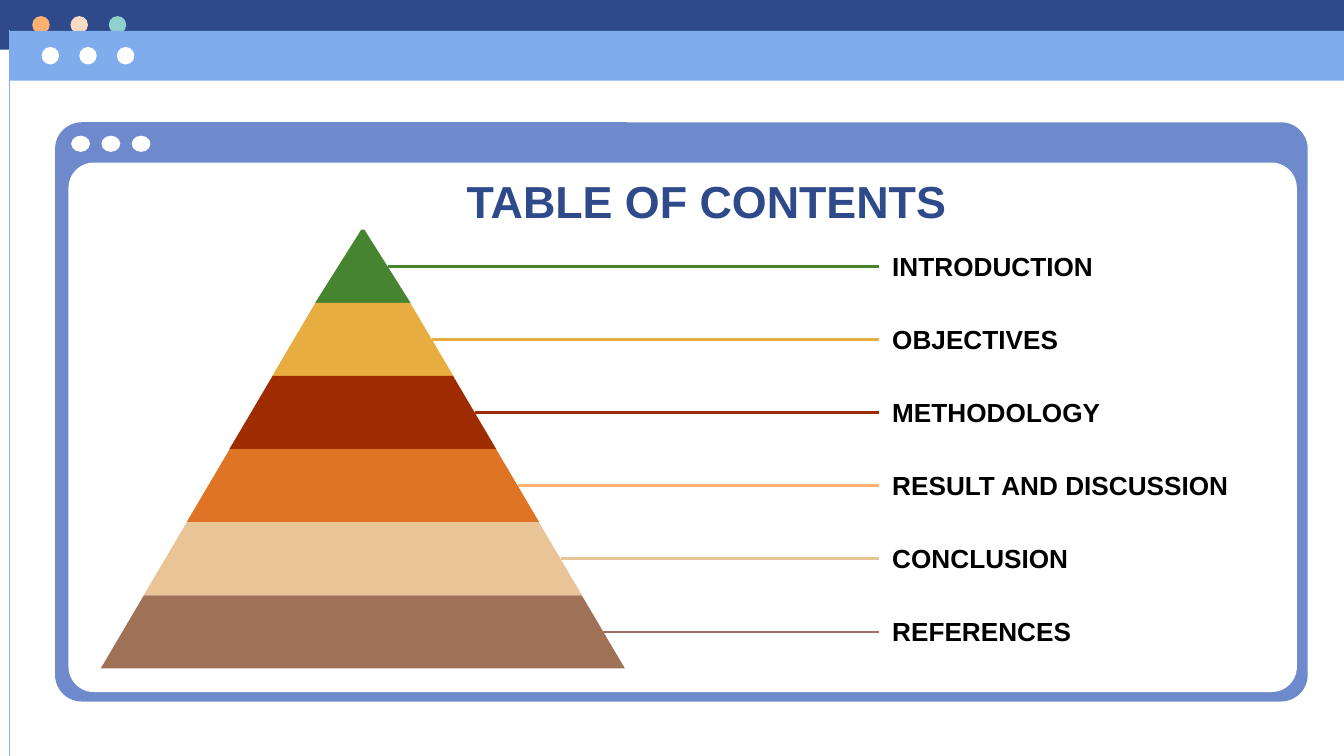
from lxml.etree import SubElement
from pptx import Presentation
from pptx.dml.color import RGBColor
from pptx.enum.shapes import MSO_CONNECTOR, MSO_SHAPE
from pptx.enum.text import MSO_ANCHOR, PP_ALIGN
from pptx.oxml.ns import qn
from pptx.util import Inches, Pt

WIDE, HIGH = 10, 5.625
FONT = "Arial"
COLORS = {
    "navy": "2F4A8A", "sky": "7EACEC", "frame": "6E8ACD", "white": "FFFFFF",
    "black": "000000", "peach": "FFB172", "cream": "F8DBC4", "mint": "90D1CB",
    "green": "47842F", "gold": "E7AD41", "red": "9F2B00", "orange": "DF7424",
    "tan": "E9C497", "brown": "9F7257",
}
ITEMS = [
    ("INTRODUCTION", 1.71, "green", "green"),
    ("OBJECTIVES", 1.45, "gold", "gold"),
    ("METHODOLOGY", 1.75, "red", "red"),
    ("RESULT AND DISCUSSION", 2.72, "orange", "peach"),
    ("CONCLUSION", 1.51, "tan", "tan"),
    ("REFERENCES", 1.55, "brown", "brown"),
]
TOP, ROW, MID = 1.71, 0.544, 2.7
TIP, GROW = 0.71, 0.638
LABEL, TALL = 6.54, 0.34


def color(name):
    """Return the named colour."""
    return RGBColor.from_string(COLORS[name])


def box(slide, kind, left, top, width, height, fill, adj=None):
    """Add a filled preset shape without outline or shadow."""
    shape = slide.shapes.add_shape(
        kind, Inches(left), Inches(top), Inches(width), Inches(height))
    shape.shadow.inherit = False
    shape.fill.solid()
    shape.fill.fore_color.rgb = color(fill)
    shape.line.fill.background()
    if adj is not None:
        shape.adjustments[0] = adj
    return shape


def dots(slide, left, top, step, width, height, fills):
    """Add an evenly spaced row of window dots."""
    for col, fill in enumerate(fills):
        box(slide, MSO_SHAPE.OVAL, left + col * step, top, width, height, fill)


def rule(slide, start, end, tint, weight):
    """Add a straight line without shadow."""
    line = slide.shapes.add_connector(
        MSO_CONNECTOR.STRAIGHT, *[Inches(n) for n in (*start, *end)])
    line.line.color.rgb = color(tint)
    line.line.width = Pt(weight)
    SubElement(line._element.spPr, qn("a:effectLst"))
    return line


def write(shape, text, size=14, tint="black", align=PP_ALIGN.LEFT,
          anchor=MSO_ANCHOR.TOP, wrap=False):
    """Set bold text and its format in a shape."""
    frame = shape.text_frame
    frame.word_wrap = wrap
    frame.vertical_anchor = anchor
    para = frame.paragraphs[0]
    para.alignment = align
    run = para.add_run()
    run.text = text
    run.font.name, run.font.size, run.font.bold = FONT, Pt(size), True
    run.font.color.rgb = color(tint)


def frame(slide):
    """Draw the window bars and the rounded card."""
    rect, card = MSO_SHAPE.RECTANGLE, MSO_SHAPE.ROUNDED_RECTANGLE
    box(slide, rect, 0, 0, WIDE, 0.37, "navy")
    dots(slide, 0.24, 0.12, 0.285, 0.13, 0.13, ["peach", "cream", "mint"])
    box(slide, rect, 0.07, 0.23, WIDE - 0.07, 0.37, "sky")
    dots(slide, 0.31, 0.35, 0.28, 0.13, 0.13, ["white"] * 3)
    rule(slide, (0.07, 0.22), (0.07, HIGH), "sky", 0.75)
    box(slide, card, 0.41, 0.91, 9.32, 4.31, "frame", 0.046)
    box(slide, card, 0.51, 1.21, 9.14, 3.94, "white", 0.048)
    dots(slide, 0.53, 1.01, 0.225, 0.14, 0.12, ["white"] * 3)


def title(slide, text):
    """Place the title placeholder in front of the card."""
    shape = slide.shapes.title
    shape.left, shape.top = Inches(3.26), Inches(1.24)
    shape.width, shape.height = Inches(3.88), Inches(0.51)
    body = shape.text_frame
    body.margin_left = body.margin_right = Inches(0.1)
    body.margin_top = body.margin_bottom = Inches(0.1)
    write(shape, text, size=24, tint="navy", align=PP_ALIGN.RIGHT,
          anchor=MSO_ANCHOR.MIDDLE, wrap=True)
    shape._element.getparent().append(shape._element)


def level(slide, row, text, width, fill, tint):
    """Add one pyramid level with its label and joining line."""
    top, base = TOP + row * ROW, TIP + row * GROW
    adj = 0.59 if row else 0.63
    mid = top + ROW / 2
    box(slide, MSO_SHAPE.TRAPEZOID, MID - base / 2, top, base, ROW, fill, adj)
    label = slide.shapes.add_textbox(
        Inches(LABEL), Inches(mid - TALL / 2), Inches(width), Inches(TALL))
    write(label, text)
    edge = MID + base / 2 - adj * ROW / 2
    line = rule(slide, (edge, mid), (LABEL, mid), tint, 1.5)
    line.end_connect(label, 1)


def main():
    """Build and save the slide."""
    deck = Presentation()
    deck.slide_width, deck.slide_height = Inches(WIDE), Inches(HIGH)
    slide = deck.slides.add_slide(deck.slide_layouts[5])
    frame(slide)
    title(slide, "TABLE OF CONTENTS")
    for row, item in enumerate(ITEMS):
        level(slide, row, *item)
    deck.save("out.pptx")


if __name__ == "__main__":
    main()
